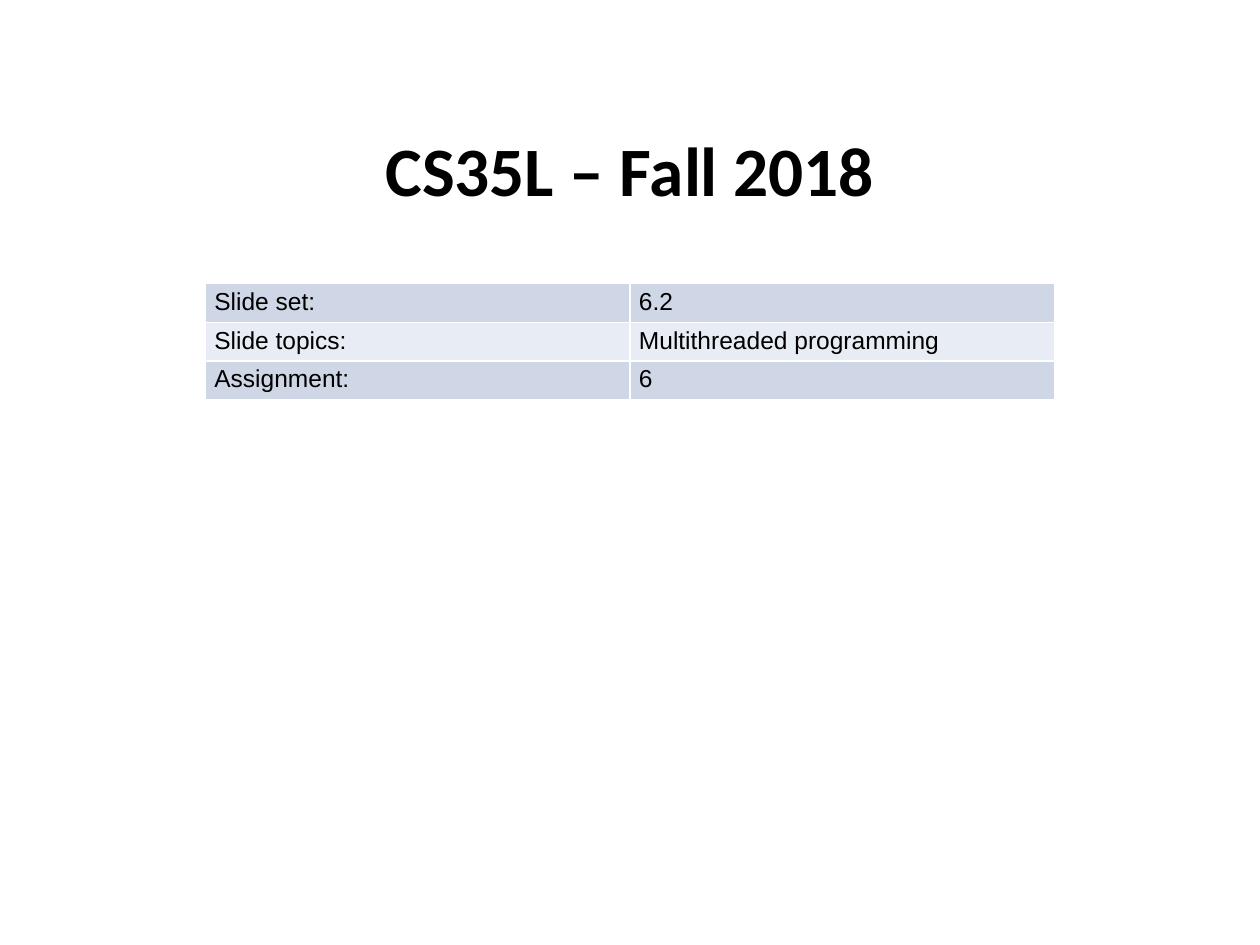
from lxml import etree
from pptx import Presentation
from pptx.dml.color import RGBColor
from pptx.enum.text import MSO_ANCHOR, PP_ALIGN
from pptx.oxml.ns import qn
from pptx.util import Cm, Pt

CENTER = PP_ALIGN.CENTER
MIDDLE = MSO_ANCHOR.MIDDLE

TITLE = "CS35L – Fall 2018"
DETAILS = [
    ("Slide set:", "6.2"),
    ("Slide topics:", "Multithreaded programming"),
    ("Assignment:", "6"),
]
COLORS = {"text": "000000", "border": "FFFFFF", "odd": "CFD7E7", "even": "E8ECF4"}

LEFT, WIDTH = Cm(4.14), Cm(17.12)
TITLE_TOP, TITLE_HEIGHT = Cm(2.76), Cm(1.27)
TABLE_TOP, ROW_HEIGHT = Cm(5.72), Cm(0.78)


def style_text(paragraph, font_name, size, bold=False):
    font = paragraph.runs[0].font
    font.name = font_name
    font.size = Pt(size)
    font.bold = bold
    font.color.rgb = RGBColor.from_string(COLORS["text"])


def add_borders(cell):
    properties = cell._tc.get_or_add_tcPr()
    for index, side in enumerate(("lnL", "lnR", "lnT", "lnB")):
        line = etree.Element(qn(f"a:{side}"), w=str(Pt(1)))
        fill = etree.SubElement(line, qn("a:solidFill"))
        etree.SubElement(fill, qn("a:srgbClr"), val=COLORS["border"])
        properties.insert(index, line)


def add_title(slide):
    title = slide.shapes.add_textbox(LEFT, TITLE_TOP, WIDTH, TITLE_HEIGHT)
    text_frame = title.text_frame
    text_frame.word_wrap = True
    text_frame.vertical_anchor = MIDDLE
    text_frame.text = TITLE
    paragraph = text_frame.paragraphs[0]
    paragraph.alignment = CENTER
    style_text(paragraph, "Calibri", 39.6, bold=True)


def add_details(slide):
    table = slide.shapes.add_table(
        len(DETAILS), len(DETAILS[0]), LEFT, TABLE_TOP, WIDTH, ROW_HEIGHT * len(DETAILS)
    ).table
    table.first_row = False
    for row_index, row in enumerate(DETAILS):
        band = "even" if row_index % 2 else "odd"
        for column_index, text in enumerate(row):
            cell = table.cell(row_index, column_index)
            cell.text_frame.text = text
            cell.margin_left = cell.margin_right = Cm(0.18)
            cell.margin_top = cell.margin_bottom = Cm(0.09)
            cell.fill.solid()
            cell.fill.fore_color.rgb = RGBColor.from_string(COLORS[band])
            add_borders(cell)
            style_text(cell.text_frame.paragraphs[0], "Arial", 14)


def main():
    presentation = Presentation()
    presentation.slide_width = Cm(25.4)
    presentation.slide_height = Cm(19.05)
    slide = presentation.slides.add_slide(presentation.slide_layouts[6])
    add_title(slide)
    add_details(slide)
    presentation.save("out.pptx")


if __name__ == "__main__":
    main()
